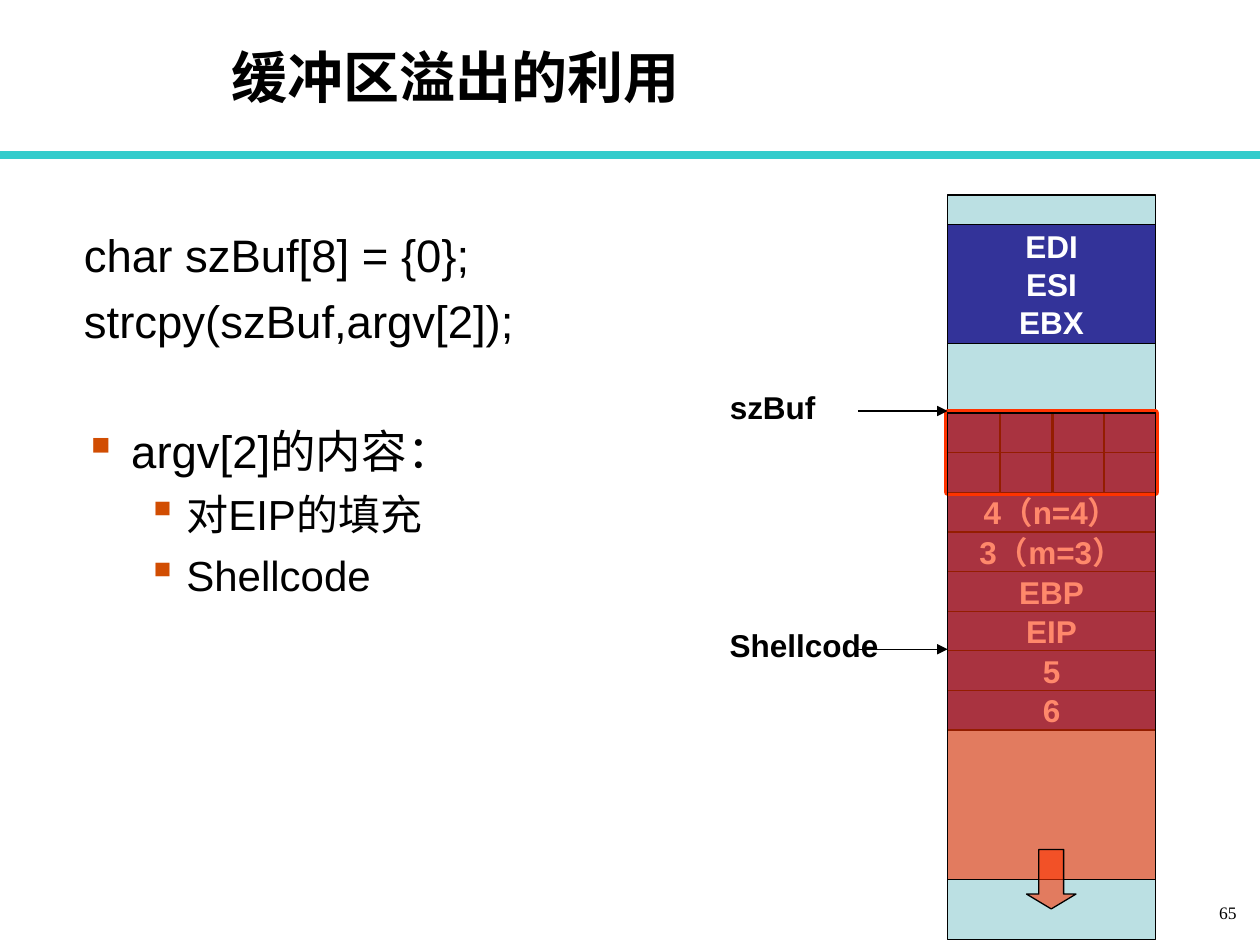
from dataclasses import dataclass

from lxml import etree
from pptx import Presentation
from pptx.dml.color import RGBColor
from pptx.enum.shapes import MSO_CONNECTOR, MSO_SHAPE
from pptx.enum.text import MSO_ANCHOR, PP_ALIGN
from pptx.oxml.ns import qn
from pptx.util import Pt

RECTANGLE, DOWN_ARROW = MSO_SHAPE.RECTANGLE, MSO_SHAPE.DOWN_ARROW
STRAIGHT = MSO_CONNECTOR.STRAIGHT
LEFT, CENTER, RIGHT = PP_ALIGN.LEFT, PP_ALIGN.CENTER, PP_ALIGN.RIGHT
TOP, MIDDLE = MSO_ANCHOR.TOP, MSO_ANCHOR.MIDDLE


@dataclass(frozen=True)
class Theme:
    font: str = "Arial"
    number_font: str = "Times New Roman"
    black: str = "000000"
    white: str = "FFFFFF"
    rule: str = "33CCCC"
    bullet: str = "D14D02"
    memory: str = "BBE0E3"
    register: str = "333399"
    overflow: str = "FF3300"
    title_size: float = 32
    body_size: float = 26
    sub_size: float = 24
    label_size: float = 18
    number_size: float = 10
    thin: float = 0.75
    overflow_alpha: int = 58


@dataclass(frozen=True)
class Box:
    left: float
    top: float
    width: float
    height: float

    def lengths(self):
        return [Pt(value) for value in (self.left, self.top, self.width, self.height)]


@dataclass(frozen=True)
class BodyLine:
    text: str
    size: float
    space_before: float
    margin: float
    hanging: float
    level: int = 0
    bulleted: bool = True


@dataclass(frozen=True)
class Pointer:
    text: str
    width: float
    y: float


THEME = Theme()
STACK_LEFT, STACK_WIDTH = 541.5, 118.8
ROW_HEIGHT = 22.65
BUFFER_TOP = 236
SLOTS_TOP = BUFFER_TOP + 2 * ROW_HEIGHT
CELL_OFFSETS, CELL_WIDTH = (0, 30.2, 60.6, 89.3), 29.5

SLOTS = ["4（n=4）", "3（m=3）", "EBP", "EIP", "5", "6"]
BODY = [
    BodyLine("char szBuf[8] = {0};", THEME.body_size, 0, 0, 0, bulleted=False),
    BodyLine("strcpy(szBuf,argv[2]);", THEME.body_size, 6.5, 0, 0, bulleted=False),
    BodyLine("argv[2]的内容：", THEME.body_size, 43, 27, 27),
    BodyLine("对EIP的填充", THEME.sub_size, 6, 58.5, 22.5, level=1),
    BodyLine("Shellcode", THEME.sub_size, 6, 58.5, 22.5, level=1),
]
POINTERS = [Pointer("szBuf", 63.4, 234.9), Pointer("Shellcode", 99.4, 371)]


def color(value: str) -> RGBColor:
    return RGBColor.from_string(value)


def apply_format(target, values: dict) -> None:
    for name, value in values.items():
        setattr(target, name, value)


def style_font(font, size: float, tint: str, bold=False, name=THEME.font) -> None:
    apply_format(font, {"name": name, "size": Pt(size), "bold": bold})
    font.color.rgb = color(tint)


def style_frame(frame, wrap: bool, anchor, side=7.2, edge=3.6) -> None:
    apply_format(frame, {
        "word_wrap": wrap, "vertical_anchor": anchor,
        "margin_left": Pt(side), "margin_right": Pt(side),
        "margin_top": Pt(edge), "margin_bottom": Pt(edge),
    })


def add_block(slide, box: Box, fill=None, line=THEME.black, weight=THEME.thin,
              lines=(), alpha=None, kind=RECTANGLE):
    shape = slide.shapes.add_shape(kind, *box.lengths())
    shape.shadow.inherit = False
    if fill:
        shape.fill.solid()
        shape.fill.fore_color.rgb = color(fill)
    else:
        shape.fill.background()
    if alpha:
        tint = shape.fill._xPr.find(qn("a:solidFill"))[0]
        etree.SubElement(tint, qn("a:alpha")).set("val", str(alpha * 1000))
    shape.line.color.rgb = color(line)
    shape.line.width = Pt(weight)
    if lines:
        style_frame(shape.text_frame, False, MIDDLE)
        shape.text_frame.text = "\n".join(lines)
        for paragraph in shape.text_frame.paragraphs:
            paragraph.alignment = CENTER
            style_font(paragraph.font, THEME.label_size, THEME.white, True)
    return shape


def add_line(slide, start: float, end: float, y: float, tint: str,
             weight: float, arrow=False) -> None:
    connector = slide.shapes.add_connector(STRAIGHT, Pt(start), Pt(y), Pt(end), Pt(y))
    connector.line.color.rgb = color(tint)
    connector.line.width = Pt(weight)
    if arrow:
        line = connector.line._get_or_add_ln()
        etree.SubElement(line, qn("a:tailEnd")).set("type", "triangle")
    etree.SubElement(connector._element.spPr, qn("a:effectLst"))


def add_label(slide, box: Box, text: str, size: float, bold: bool,
              wrap: bool, font_name=THEME.font):
    frame = slide.shapes.add_textbox(*box.lengths()).text_frame
    style_frame(frame, wrap, TOP)
    paragraph = frame.paragraphs[0]
    paragraph.text = text
    paragraph.alignment = RIGHT
    style_font(paragraph.font, size, THEME.black, bold, font_name)
    return paragraph


def add_pointer(slide, pointer: Pointer) -> None:
    add_line(slide, 490.3, STACK_LEFT, pointer.y, THEME.black, THEME.thin, arrow=True)
    add_label(slide, Box(409.7, pointer.y - 16.7, pointer.width, 28.8),
              pointer.text, THEME.label_size, True, False)


def add_body(slide, box: Box, lines: list[BodyLine]) -> None:
    frame = slide.shapes.add_textbox(*box.lengths()).text_frame
    style_frame(frame, True, TOP, 0, 0)
    for index, line in enumerate(lines):
        paragraph = frame.add_paragraph() if index else frame.paragraphs[0]
        paragraph.text = line.text
        apply_format(paragraph, {"level": line.level, "alignment": LEFT,
                                 "space_before": Pt(line.space_before)})
        properties = paragraph._p.get_or_add_pPr()
        properties.set("marL", str(Pt(line.margin)))
        properties.set("indent", str(-Pt(line.hanging)))
        if line.bulleted:
            tint = etree.SubElement(properties, qn("a:buClr"))
            etree.SubElement(tint, qn("a:srgbClr")).set("val", THEME.bullet)
            etree.SubElement(properties, qn("a:buChar")).set("char", "▪")
        style_font(paragraph.font, line.size, THEME.black)


def add_title(slide, box: Box, text: str) -> None:
    title = slide.shapes.title
    apply_format(title, dict(zip(("left", "top", "width", "height"), box.lengths())))
    style_frame(title.text_frame, True, MIDDLE, 0, 0)
    paragraph = title.text_frame.paragraphs[0]
    paragraph.text = text
    paragraph.alignment = LEFT
    style_font(paragraph.font, THEME.title_size, THEME.black, True)


def add_stack(slide) -> None:
    def span(top: float, height: float) -> Box:
        return Box(STACK_LEFT, top, STACK_WIDTH, height)

    # Whole memory column and the saved registers
    add_block(slide, span(111.4, 425.4), THEME.memory)
    add_block(slide, span(128.4, 67.8), THEME.register, lines=("EDI", "ESI", "EBX"))
    for row, text in enumerate(SLOTS):
        add_block(slide, span(SLOTS_TOP + row * ROW_HEIGHT, ROW_HEIGHT),
                  THEME.register, lines=(text,))
    # Eight-byte buffer
    add_block(slide, span(BUFFER_TOP, 2 * ROW_HEIGHT), line=THEME.overflow, weight=4.5)
    for row in range(2):
        for offset in CELL_OFFSETS:
            add_block(slide, Box(STACK_LEFT + offset, BUFFER_TOP + row * ROW_HEIGHT,
                                 CELL_WIDTH, ROW_HEIGHT), THEME.register)
    # Overwritten area
    add_block(slide, span(BUFFER_TOP, 266.5), THEME.overflow, alpha=THEME.overflow_alpha)


def main() -> None:
    presentation = Presentation()
    presentation.slide_width, presentation.slide_height = Pt(720), Pt(540)
    slide = presentation.slides.add_slide(presentation.slide_layouts[5])

    # Heading and text
    add_line(slide, 0, 720, 88.5, THEME.rule, 5)
    add_title(slide, Box(132, 24, 588, 39), "缓冲区溢出的利用")
    add_body(slide, Box(48, 130, 379.5, 210), BODY)

    # Stack diagram
    add_stack(slide)
    for pointer in POINTERS:
        add_pointer(slide, pointer)
    arrow = add_block(slide, Box(586.6, 485.4, 28.3, 34), THEME.overflow,
                      alpha=THEME.overflow_alpha, kind=DOWN_ARROW)
    arrow.adjustments[0], arrow.adjustments[1] = 0.5, 0.3

    # Slide number
    number = add_label(slide, Box(563.8, 514, 149.8, 20), "65",
                       THEME.number_size, False, True, THEME.number_font)
    number.line_spacing = 0.8

    presentation.save("out.pptx")


if __name__ == "__main__":
    main()
